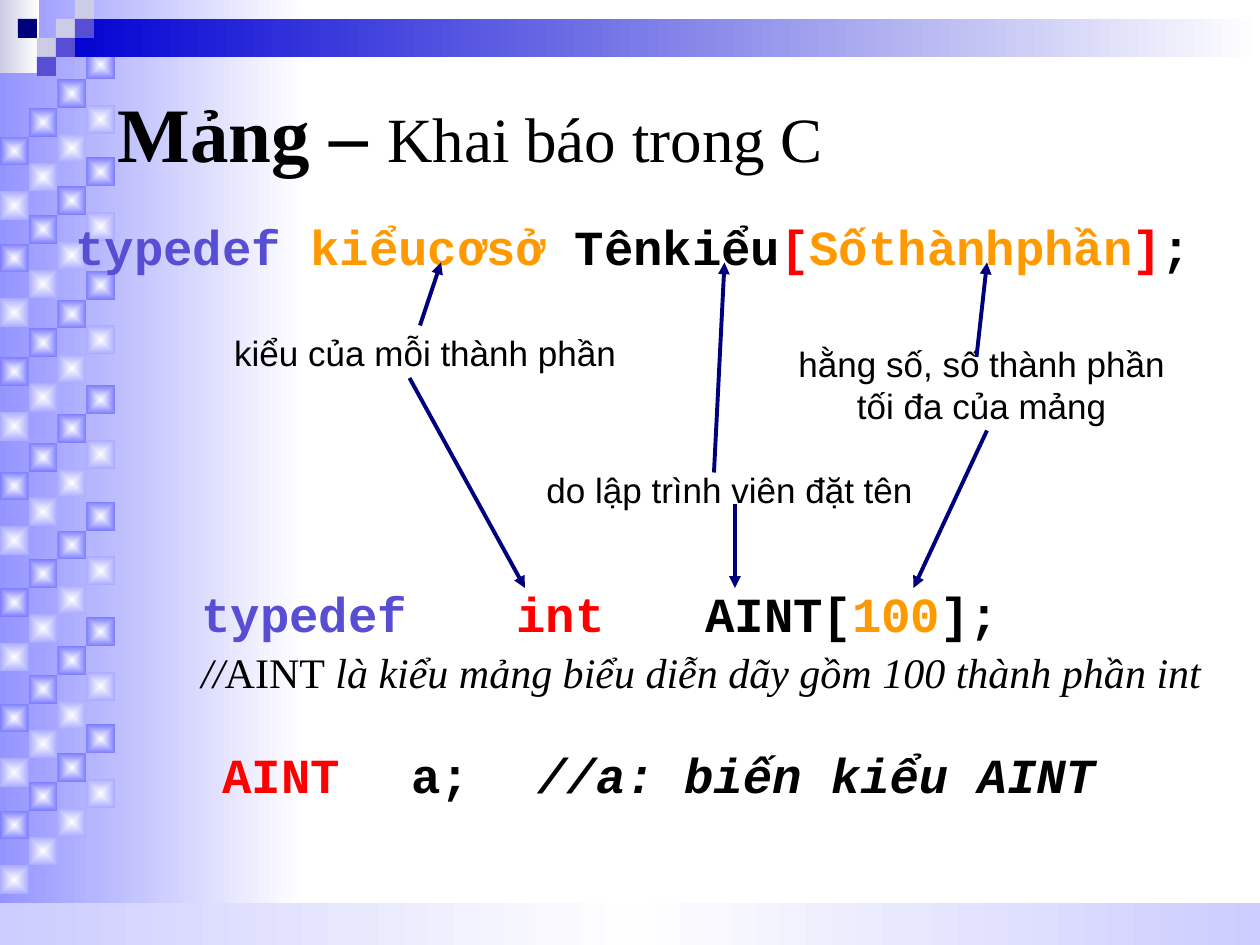
from pptx import Presentation
from pptx import util as u
from pptx.dml.color import RGBColor
from pptx.enum import shapes, text
from pptx.oxml import parse_xml
from pptx.oxml.ns import nsdecls, qn

COLORS = {
    "white": "FFFFFF", "glow": "FEFEFE", "wash": "9595FF", "dark_tile": "7D7DFF",
    "light_tile": "ABABFF", "footer": "CCCCFF", "pale": "CCCCE6", "bar": "0000D2",
    "navy": "00007D", "violet": "584ED4", "orange": "FF9900", "red": "FF0000",
    "black": "000000",
}
COLUMNS, ROWS = 120, 90
CODE, SERIF, SANS = "Courier New", "Times New Roman", "Arial"
LINEAR = '<a:lin ang="10800000" scaled="0"/>'
CENTRED = '<a:path path="rect"><a:fillToRect l="50000" t="50000" r="50000" b="50000"/></a:path>'

deck = Presentation()
deck.slide_width, deck.slide_height = u.Inches(10), u.Inches(7.5)
slide = deck.slides.add_slide(deck.slide_layouts[1])


def grid(*cells):
    sizes = (deck.slide_width / COLUMNS, deck.slide_height / ROWS)
    return [round(cell * sizes[i % 2]) for i, cell in enumerate(cells)]


def block(box, *names, direction=LINEAR):
    rect = slide.shapes.add_shape(shapes.MSO_SHAPE.RECTANGLE, *grid(*box))
    rect.shadow.inherit = False
    rect.line.fill.background()
    if len(names) == 1:
        rect.fill.solid()
        rect.fill.fore_color.rgb = RGBColor.from_string(COLORS[names[0]])
        return
    rect.fill.background()
    stops = "".join(
        f'<a:gs pos="{100000 * i // (len(names) - 1)}"><a:srgbClr val="{COLORS[name]}"/></a:gs>'
        for i, name in enumerate(names))
    properties = rect._element.spPr
    properties.replace(properties.find(qn("a:noFill")), parse_xml(
        f'<a:gradFill {nsdecls("a")} rotWithShape="1"><a:gsLst>{stops}</a:gsLst>{direction}</a:gradFill>'))


def tile_wall(left, top):
    side = 2.74
    for start in (0, 10.2, 21, 31.9, 43, 54, 64.2):
        for name, drop in (("dark_tile", 0), ("light_tile", 5.2)):
            for step in range(4):
                block((left + (3 - step) * side, top + start + drop + step * side, side, side),
                      "glow", name, direction=CENTRED)


def header_band(left, top):
    side = 1.81
    block((left, top, 3.7, 7), "white", "pale")
    block((left + 3 * side, top + side, COLUMNS - 3 * side, 3.6), "white", "bar")
    for column, row, name in ((3, 1, "pale"), (4, 0, "pale"), (4, 1, "violet"), (2, 2, "pale"),
                              (1, 1, "navy"), (3, 2, "violet"), (2, 3, "violet")):
        block((left + column * side - 0.1, top + row * side, side, side), name)


def write(frame, parts, font, size, bold=None, align=text.PP_ALIGN.LEFT, before=0, tabs=()):
    paragraph = frame.paragraphs[0]
    paragraph.alignment = align
    paragraph.space_before = u.Pt(before)
    for words, color, *style in parts:
        run = paragraph.add_run()
        run.text = words
        run.font.name, run.font.size, run.font.bold = font, u.Pt(size), bold
        run.font.color.rgb = RGBColor.from_string(COLORS[color])
        if "italic" in style:
            run.font.italic = True
        if "light" in style:
            run.font.bold, run.font.size = False, u.Pt(36)
    if tabs:
        stops = "".join(f'<a:tab pos="{u.Inches(tab)}" algn="l"/>' for tab in tabs)
        paragraph._p.get_or_add_pPr().append(
            parse_xml(f'<a:tabLst {nsdecls("a")}>{stops}</a:tabLst>'))
    return paragraph


def text_area(box, parts, font, size, wrap=True, **layout):
    frame = slide.shapes.add_textbox(*grid(*box)).text_frame
    frame.word_wrap = wrap
    write(frame, parts, font, size, **layout)


def use_placeholder(holder, box):
    holder.left, holder.top, holder.width, holder.height = grid(*box)
    slide.shapes._spTree.append(holder._element)
    holder.text_frame.auto_size = text.MSO_AUTO_SIZE.NONE
    return holder.text_frame


def heading(box):
    frame = use_placeholder(slide.shapes.title, box)
    frame.vertical_anchor = text.MSO_ANCHOR.MIDDLE
    write(frame, [("Mảng – ", "black"), ("Khai báo trong C", "black", "light")], SERIF, 44, bold=True)


def syntax(box):
    frame = use_placeholder(slide.placeholders[1], box)
    declaration = write(frame, [
        ("typedef ", "violet"), ("kiểucơsở", "orange"), (" Tênkiểu", "black"), ("[", "red"),
        ("Sốthànhphần", "orange"), ("]", "red"), (";", "black")],
        CODE, 28, bold=True, align=text.PP_ALIGN.JUSTIFY, before=7)
    properties = declaration._p.get_or_add_pPr()
    properties.set("marL", str(u.Inches(0.38)))
    properties.set("indent", str(u.Inches(-0.38)))
    properties.append(parse_xml(f'<a:buNone {nsdecls("a")}/>'))


def arrow(*ends):
    line = slide.shapes.add_connector(shapes.MSO_CONNECTOR.STRAIGHT, *grid(*ends))
    line.line.color.rgb = RGBColor.from_string(COLORS["navy"])
    line.line.width = u.Pt(2.24)
    properties = line._element.spPr
    properties.find(qn("a:ln")).append(parse_xml(f'<a:tailEnd {nsdecls("a")} type="triangle"/>'))
    properties.append(parse_xml(f'<a:effectLst {nsdecls("a")}/>'))


def explanations(left, top):
    for x, y, width, height, words in (
            (0, 6, 43, 5.3, "kiểu của mỗi thành phần"),
            (55, 7, 39, 9.2, "hằng số, số thành phần tối đa của mảng"),
            (29, 19, 43, 5.3, "do lập trình viên đặt tên")):
        text_area((left + x, top + y, width, height), [(words, "black")], SANS, 20,
                  align=text.PP_ALIGN.CENTER, before=12.5)
    for x1, y1, x2, y2 in ((21, 6, 23, 0), (49, 20, 50, 0), (74, 9, 75, 0),
                           (20, 11, 31, 31), (51, 23, 51, 31), (75, 16, 68, 31)):
        arrow(left + x1, top + y1, left + x2, top + y2)


def example(left, top):
    text_area((left, top, 83, 6.8), [
        ("typedef\t", "violet"), ("int \t", "red"), ("AINT[", "black"), ("100", "orange"),
        ("];", "black")], CODE, 28, bold=True, tabs=(2.5, 4, 5))
    text_area((left, top + 6, 97.6, 6), [
        ("//", "black", "italic"), ("AINT", "black"),
        (" là kiểu mảng biểu diễn dãy gồm 100 thành phần int", "black", "italic")],
        SERIF, 24, wrap=False)
    text_area((left + 2, top + 15.3, 86, 6.8), [
        ("AINT\t", "red"), ("a;\t", "black"), ("//a: biến kiểu AINT", "black", "italic")],
        CODE, 28, bold=True, tabs=(1.5, 2.5, 3))


block((0, 0, 29, ROWS), "white", "wash")
tile_wall(0, 4.8)
block((0, 86, COLUMNS, 4), "footer", "glow", "footer")
header_band(0, 0)
heading((10, 6, 104, 13))
syntax((6, 20, 111, 60))
explanations(19, 25)
example(18, 55)
deck.save("out.pptx")
